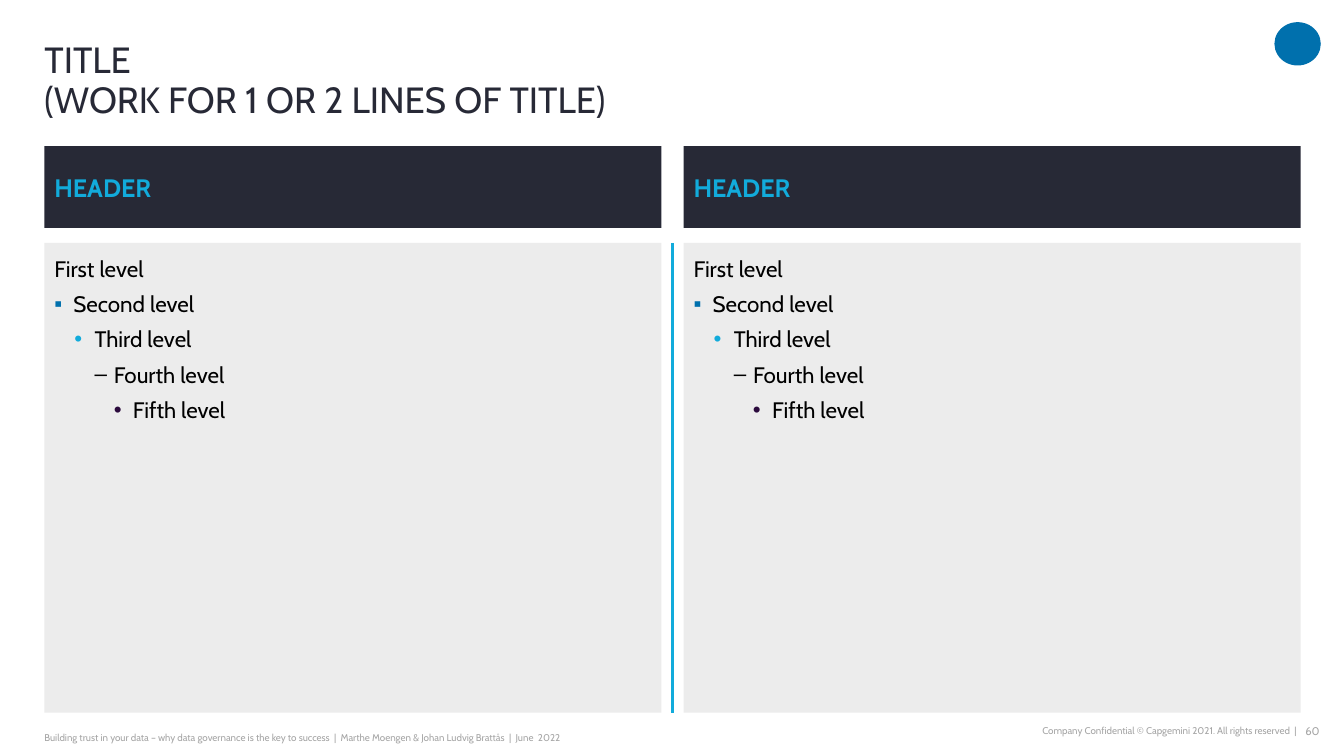
from copy import deepcopy

from lxml.etree import SubElement
from pptx import Presentation
from pptx.dml.color import RGBColor
from pptx.enum.shapes import MSO_CONNECTOR, MSO_SHAPE
from pptx.enum.text import MSO_ANCHOR, MSO_AUTO_SIZE, PP_ALIGN
from pptx.oxml.ns import qn
from pptx.util import Inches, Pt

FONT = "Cabin"
DARK, CYAN, BLUE = "272936", "12ABDB", "0070AD"
PANEL, GREY, BLACK, PLUM = "ECECEC", "A6A6A6", "000000", "2B0A3D"
LEVELS = [
    ("First level", 0, 0, None, None),
    ("Second level", 0.19, 0.19, "▪", BLUE),
    ("Third level", 0.4, 0.2, "•", CYAN),
    ("Fourth level", 0.59, 0.19, "–", BLACK),
    ("Fifth level", 0.78, 0.19, "•", PLUM),
]


def rgb(value):
    """Turn a hex string into a colour."""
    return RGBColor.from_string(value)


def write(p, text, size, color, bold=False, align=PP_ALIGN.LEFT, after=0, spacing=None):
    """Fill a paragraph with formatted text."""
    p.text = text
    p.alignment = align
    p.space_before, p.space_after = Pt(0), Pt(after)
    p.line_spacing = spacing
    for r in p.runs:
        r.font.name, r.font.size, r.font.bold = FONT, Pt(size), bold
        r.font.color.rgb = rgb(color)
    for br in p._p.findall(qn("a:br")):
        br.append(deepcopy(p.runs[0]._r.rPr))


def add_bullet(p, margin, hang, char, color):
    """Give a paragraph a coloured hanging bullet."""
    pPr = p._p.get_or_add_pPr()
    pPr.set("marL", str(Inches(margin)))
    pPr.set("indent", str(-Inches(hang)))
    clr = SubElement(pPr, qn("a:buClr"))
    SubElement(clr, qn("a:srgbClr"), val=color)
    SubElement(pPr, qn("a:buFont"), typeface="Arial")
    SubElement(pPr, qn("a:buChar"), char=char)


def setup_frame(tf, anchor, left=0, top=0, right=0, bottom=0):
    """Set wrapping, anchor and insets of a text frame."""
    tf.word_wrap = True
    tf.auto_size = MSO_AUTO_SIZE.NONE
    tf.vertical_anchor = anchor
    tf.margin_left, tf.margin_top = Inches(left), Inches(top)
    tf.margin_right, tf.margin_bottom = Inches(right), Inches(bottom)


def add_block(s, shape, x, y, w, h, fill):
    """Add a plain filled shape."""
    sp = s.shapes.add_shape(shape, Inches(x), Inches(y), Inches(w), Inches(h))
    sp.shadow.inherit = False
    sp.fill.solid()
    sp.fill.fore_color.rgb = rgb(fill)
    sp.line.fill.background()
    return sp


def add_title(s, text, x, y, w, h):
    """Place and format the title placeholder."""
    sp = s.shapes.title
    sp.left, sp.top, sp.width, sp.height = Inches(x), Inches(y), Inches(w), Inches(h)
    setup_frame(sp.text_frame, MSO_ANCHOR.BOTTOM)
    write(sp.text_frame.paragraphs[0], text, 26, DARK, spacing=0.9)


def add_column(s, x, y, w, h, header_h=0.81, gap=0.15):
    """Draw a header bar with a panel of text levels below it."""
    bar = add_block(s, MSO_SHAPE.RECTANGLE, x, y, w, header_h, DARK)
    setup_frame(bar.text_frame, MSO_ANCHOR.MIDDLE, left=0.1, right=0.04)
    write(bar.text_frame.paragraphs[0], "HEADER", 18, CYAN, bold=True)

    top = header_h + gap
    panel = add_block(s, MSO_SHAPE.RECTANGLE, x, y + top, w, h - top, PANEL)
    tf = panel.text_frame
    setup_frame(tf, MSO_ANCHOR.TOP, left=0.1, top=0.12)
    for level, (text, margin, hang, char, color) in enumerate(LEVELS):
        p = tf.add_paragraph() if level else tf.paragraphs[0]
        p.level = level
        write(p, text, 16, BLACK, after=6)
        if char:
            add_bullet(p, margin, hang, char, color)


def add_divider(s, x, top, bottom):
    """Draw the vertical line between the columns."""
    line = s.shapes.add_connector(
        MSO_CONNECTOR.STRAIGHT, Inches(x), Inches(top), Inches(x), Inches(bottom))
    line.line.color.rgb = rgb(CYAN)
    line.line.width = Pt(2.25)
    SubElement(line._element.spPr, qn("a:effectLst"))


def add_note(s, text, x, y, w, h, size=7, align=PP_ALIGN.LEFT):
    """Add one small grey footer text."""
    tf = s.shapes.add_textbox(Inches(x), Inches(y), Inches(w), Inches(h)).text_frame
    setup_frame(tf, MSO_ANCHOR.MIDDLE)
    write(tf.paragraphs[0], text, size, GREY, align=align)


def add_footer(s, x, y, right):
    """Place the talk details, copyright line and page number."""
    add_note(s, "Building trust in your data – why data governance is the key to success"
             "  |  Marthe Moengen & Johan Ludvig Brattås  |  June  2022", x, y, 6.07, 0.37)
    add_note(s, "Company Confidential © Capgemini 2021. All rights reserved  |",
             right - 5.19, y, 4.96, 0.24, align=PP_ALIGN.RIGHT)
    add_note(s, "60", right - 0.25, y, 0.25, 0.24, size=8, align=PP_ALIGN.RIGHT)


def main():
    """Build and save the slide."""
    prs = Presentation()
    prs.slide_width, prs.slide_height = Inches(13.33), Inches(7.5)
    s = prs.slides.add_slide(prs.slide_layouts[5])
    add_block(s, MSO_SHAPE.OVAL, 12.64, 0.22, 0.46, 0.43, BLUE)
    add_footer(s, 0.44, 7.13, 13.09)
    for x in (0.44, 6.78):
        add_column(s, x, 1.45, 6.12, 5.62)
    add_divider(s, 6.67, 2.41, 7.07)
    add_title(s, "TITLE\n(WORK FOR 1 OR 2 LINES OF TITLE)", 0.44, 0.42, 11.97, 0.78)
    prs.save("out.pptx")


if __name__ == "__main__":
    main()
